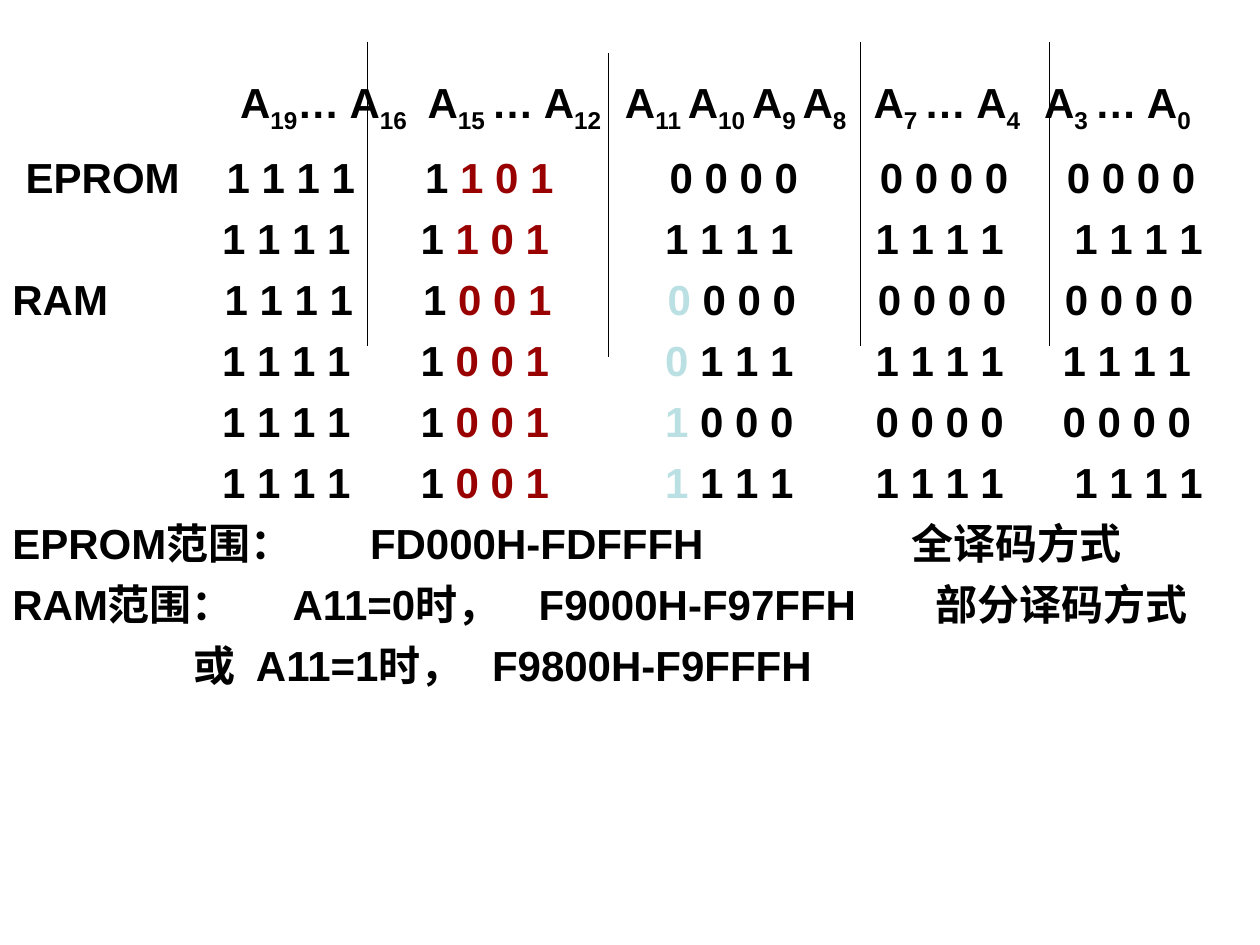
from pptx import Presentation
from pptx.dml.color import RGBColor
from pptx.enum.shapes import MSO_CONNECTOR
from pptx.oxml.ns import qn
from pptx.util import Cm, Pt
from lxml.etree import SubElement

BLACK = RGBColor(0x00, 0x00, 0x00)
RED = RGBColor(0x99, 0x00, 0x00)
TEAL = RGBColor(0xBB, 0xE0, 0xE3)

HEADER = [
    [("A", "19"), ("… A", "16")],
    [("A", "15 "), ("… A", "12")],
    [("A", "11 "), ("A", "10 "), ("A", "9 "), ("A", "8")],
    [("A", "7 "), ("… A", "4")],
    [("A", "3 "), ("… A", "0")],
]
HEADER_STOPS = [4.59, 8.37, 12.35, 17.36, 20.8]

ADDRESSES = [
    ("\tEPROM", "1111 1101 0000 0000 0000", 0.04, 0),
    ("", "1111 1101 1111 1111 1111", -0.05, 0.24),
    ("RAM", "1111 1001 0000 0000 0000", 0, 0),
    ("", "1111 1001 0111 1111 1111", -0.05, 0),
    ("", "1111 1001 1000 0000 0000", -0.05, 0),
    ("", "1111 1001 1111 1111 1111", -0.05, 0.24),
]
BIT_STOPS = [4.28, 8.28, 13.21, 17.45, 21.22]
LABEL_INDENT = 0.27
FIRST_RAM_ROW = 2

RANGES = [
    ("EPROM范围：\tFD000H-FDFFFH\t全译码方式", [7.21, 18.13]),
    ("RAM范围：\tA11=0时，\tF9000H-F97FFH\t部分译码方式", [5.65, 10.61, 18.61]),
    ("\t或\tA11=1时，\tF9800H-F9FFFH", [3.66, 4.91, 9.67]),
]

DIVIDERS = [(7.41, 0.84), (12.27, 1.06), (17.35, 0.84), (21.16, 0.84)]
DIVIDER_HEIGHT = 6.14


def add_line(tf, stops, before=6):
    first = not tf.paragraphs[0].runs
    p = tf.paragraphs[0] if first else tf.add_paragraph()
    tabs = SubElement(p._p.get_or_add_pPr(), qn("a:tabLst"))
    for stop in stops:
        SubElement(tabs, qn("a:tab"), pos=str(int(Cm(stop))), algn="l")
    p.space_before = Pt(0 if first else before)
    return p


def add_run(p, text, color=BLACK, subscript=False):
    r = p.add_run()
    r.text = text
    r.font.name = "Arial"
    r.font.size = Pt(24)
    r.font.bold = True
    r.font.color.rgb = color
    if subscript:
        r.font._element.set("baseline", "-25000")


def add_bits(p, column, bits, is_ram):
    spaced = " ".join(bits)
    if column == 1:
        add_run(p, "\t" + spaced[:2])
        add_run(p, spaced[2:], RED)
    elif column == 2 and is_ram:
        add_run(p, "\t" + spaced[0], TEAL)
        add_run(p, spaced[1:])
    else:
        add_run(p, "\t" + spaced)


prs = Presentation()
prs.slide_width, prs.slide_height = Cm(25.4), Cm(19.05)
s = prs.slides.add_slide(prs.slide_layouts[6])

tf = s.shapes.add_textbox(Cm(0), Cm(1.27), Cm(24.77), Cm(16.94)).text_frame
tf.word_wrap = True
tf.margin_left = tf.margin_right = Cm(0.25)
tf.margin_top = Cm(0.28)

p = add_line(tf, HEADER_STOPS)
for group in HEADER:
    for i, (name, index) in enumerate(group):
        add_run(p, name if i else "\t" + name)
        add_run(p, index, subscript=True)

for row, (label, address, shift, last_shift) in enumerate(ADDRESSES):
    stops = [stop + shift for stop in BIT_STOPS]
    stops[-1] += last_shift
    if label.startswith("\t"):
        stops.insert(0, LABEL_INDENT)
    p = add_line(tf, stops, 10 if row == 0 else 6)
    if label:
        add_run(p, label)
    for column, bits in enumerate(address.split()):
        add_bits(p, column, bits, row >= FIRST_RAM_ROW)

for text, stops in RANGES:
    add_run(add_line(tf, stops), text)

for x, y in DIVIDERS:
    line = s.shapes.add_connector(
        MSO_CONNECTOR.STRAIGHT, Cm(x), Cm(y), Cm(x), Cm(y + DIVIDER_HEIGHT))
    line.line.color.rgb = BLACK
    line.line.width = Pt(0.75)
    SubElement(line._element.spPr, qn("a:effectLst"))

prs.save("out.pptx")
